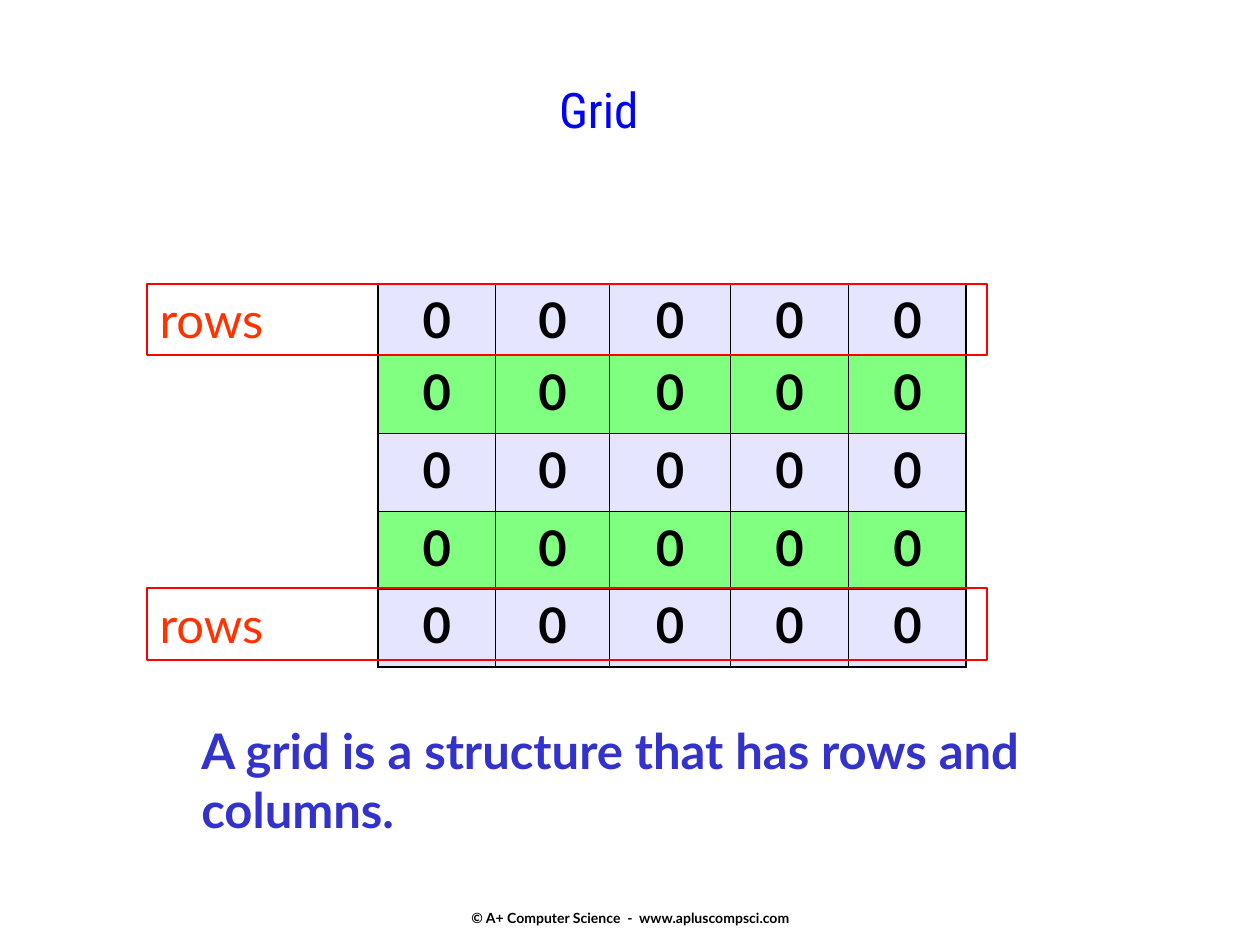
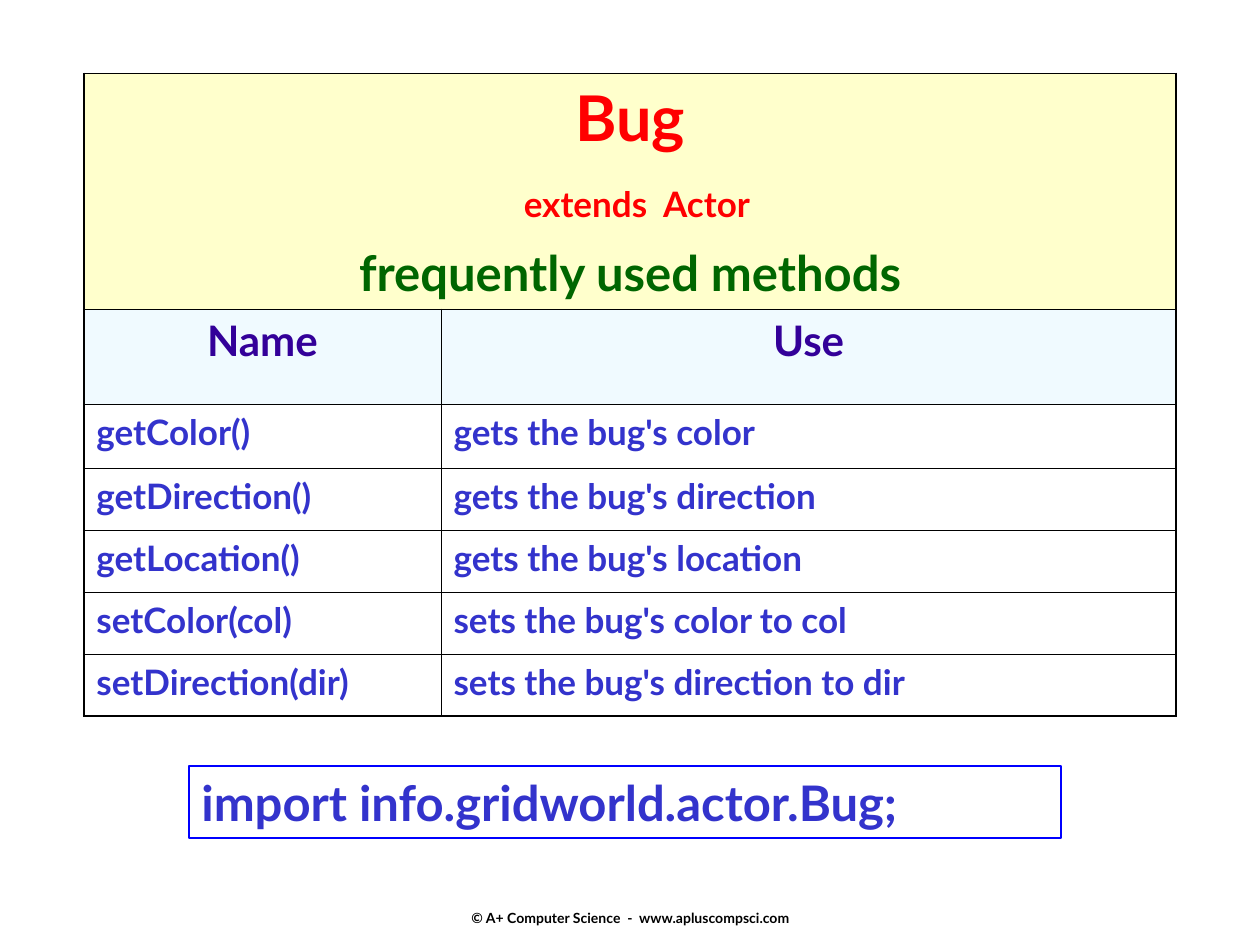
from pptx import Presentation as Deck
from pptx.dml.color import RGBColor as Rgb
from pptx.enum.shapes import MSO_SHAPE as Kind
from pptx.enum.text import MSO_ANCHOR as Anchor, PP_ALIGN as Align
from pptx.oxml.ns import qn
from pptx.util import Cm, Pt
from lxml.etree import SubElement as Sub

FONT, HEAD = "Lato", "Roboto Condensed"
BLACK, BLUE, INK, RED = "000000", "0000FF", "3333CC", "FF0000"
ORANGE, GREEN, PLUM = "FF3300", "006600", "330099"
LILAC, LIME, CREAM, SKY = "E5E5FF", "80FF80", "FFFFCC", "F0FAFF"
THIN, THICK = 0.45, 1.08

FOOT = "© A+ Computer Science  -  www.apluscompsci.com"
TITLE = "Grid"
FACT = "A grid is a structure that has rows and columns."
LABEL = "rows"
CODE = "import info.gridworld.actor.Bug;"

GRID = [["0"] * 5 for _ in range(5)]
GRID_AT = (7.62, 5.72)
GRID_COLS = [2.37, 2.3, 2.44, 2.38, 2.37]
GRID_ROWS = [1.45] + [1.57] * 4
MARKS = [5.72, 11.86]

BANNER = [
    ("Bug", 36, RED, 0, 0),
    ("extends  Actor", 20, RED, 15.8, 0.28),
    ("frequently used methods", 28, GREEN, 10.4, 0),
]
METHODS = [
    ("", ""),
    ("Name", "Use"),
    ("getColor()", "gets the bug's color"),
    ("getDirection()", "gets the bug's direction"),
    ("getLocation()", "gets the bug's location"),
    ("setColor(col)", "sets the bug's color to col"),
    ("setDirection(dir)", "sets the bug's direction to dir"),
]
METHODS_AT = (1.69, 1.48)
METHODS_COLS = [7.2, 14.82]
METHODS_ROWS = [4.75, 1.92, 1.29] + [1.25] * 4


def tint(code):
    return Rgb.from_string(code)


def style(par, size, color, bold=True, align=Align.LEFT, face=FONT):
    par.alignment = align
    for run in par.runs:
        font = run.font
        font.name, font.size, font.bold = face, Pt(size), bold
        font.color.rgb = tint(color)


def write(slide, at, text, size, color, line=None, anchor=Anchor.TOP, **look):
    box = slide.shapes.add_shape(Kind.RECTANGLE, *map(Cm, at)) if line else \
        slide.shapes.add_textbox(*map(Cm, at))
    if line:
        box.shadow.inherit = False
        box.fill.background()
        box.line.color.rgb = tint(line)
        box.line.width = Pt(1)
    frame = box.text_frame
    frame.word_wrap = True
    frame.vertical_anchor = anchor
    frame.text = text
    style(frame.paragraphs[0], size, color, **look)
    return frame


def edge(cell, sides):
    props = cell._tc.get_or_add_tcPr()
    for side, width in zip("LRTB", sides):
        line = Sub(props, qn("a:ln" + side), w=str(Pt(width)))
        fill = Sub(line, qn("a:solidFill"))
        Sub(fill, qn("a:srgbClr"), val=BLACK)


def tabulate(slide, at, cols, rows, data, look):
    size = sum(cols), sum(rows)
    frame = slide.shapes.add_table(len(rows), len(cols), *map(Cm, at + size))
    table = frame.table
    table.first_row = table.horz_banding = False
    for col, width in zip(table.columns, cols):
        col.width = Cm(width)
    for row, height in zip(table.rows, rows):
        row.height = Cm(height)
    for r, line in enumerate(data):
        for c, text in enumerate(line):
            cell = table.cell(r, c)
            outer = (c == 0, c == len(cols) - 1, r == 0, r == len(rows) - 1)
            edge(cell, [THICK if out else THIN for out in outer])
            fill, font, color, align = look(r)
            if fill:
                cell.fill.solid()
                cell.fill.fore_color.rgb = tint(fill)
            else:
                cell.fill.background()
            cell.text = text
            style(cell.text_frame.paragraphs[0], font, color, align=align)
    return table


def grid_look(r):
    return (LIME if r % 2 else LILAC), 28, BLACK, Align.CENTER


def method_look(r):
    if r == 0:
        return CREAM, 36, RED, Align.CENTER
    if r == 1:
        return SKY, 24, PLUM, Align.CENTER
    return None, 20, INK, Align.LEFT


def start(deck):
    slide = deck.slides.add_slide(deck.slide_layouts[6])
    frame = write(slide, (8.69, 17.4, 8.05, 1.27), FOOT, 8, BLACK,
                  anchor=Anchor.BOTTOM, align=Align.CENTER)
    frame.margin_bottom = 0
    return slide


def grid_slide(deck):
    slide = start(deck)
    write(slide, (4.45, 1.48, 15.24, 2.75), TITLE, 28, BLUE,
          bold=False, align=Align.CENTER, face=HEAD)
    tabulate(slide, GRID_AT, GRID_COLS, GRID_ROWS, GRID, grid_look)
    write(slide, (3.81, 14.4, 19.9, 2.64), FACT, 28, INK)
    for top in MARKS:
        write(slide, (2.97, top, 16.93, 1.44), LABEL, 28, ORANGE,
              line=RED, bold=False)


def bug_slide(deck):
    slide = start(deck)
    table = tabulate(slide, METHODS_AT, METHODS_COLS, METHODS_ROWS,
                     METHODS, method_look)
    top = table.cell(0, 0)
    top.merge(table.cell(0, 1))
    top._tc.tcPr.find(qn("a:lnR")).set("w", str(Pt(THICK)))
    frame = top.text_frame
    frame.text = "\n".join(item[0] for item in BANNER)
    for par, (_, size, color, gap, shift) in zip(frame.paragraphs, BANNER):
        style(par, size, color, align=Align.CENTER)
        if gap:
            par.space_before = Pt(gap)
        if shift:
            par._p.get_or_add_pPr().set("indent", str(Cm(shift)))
    write(slide, (3.81, 15.45, 17.58, 1.44), CODE, 28, INK, line=BLUE)


def main():
    deck = Deck()
    deck.slide_width, deck.slide_height = Cm(25.4), Cm(19.05)
    grid_slide(deck)
    bug_slide(deck)
    deck.save("out.pptx")


if __name__ == "__main__":
    main()
